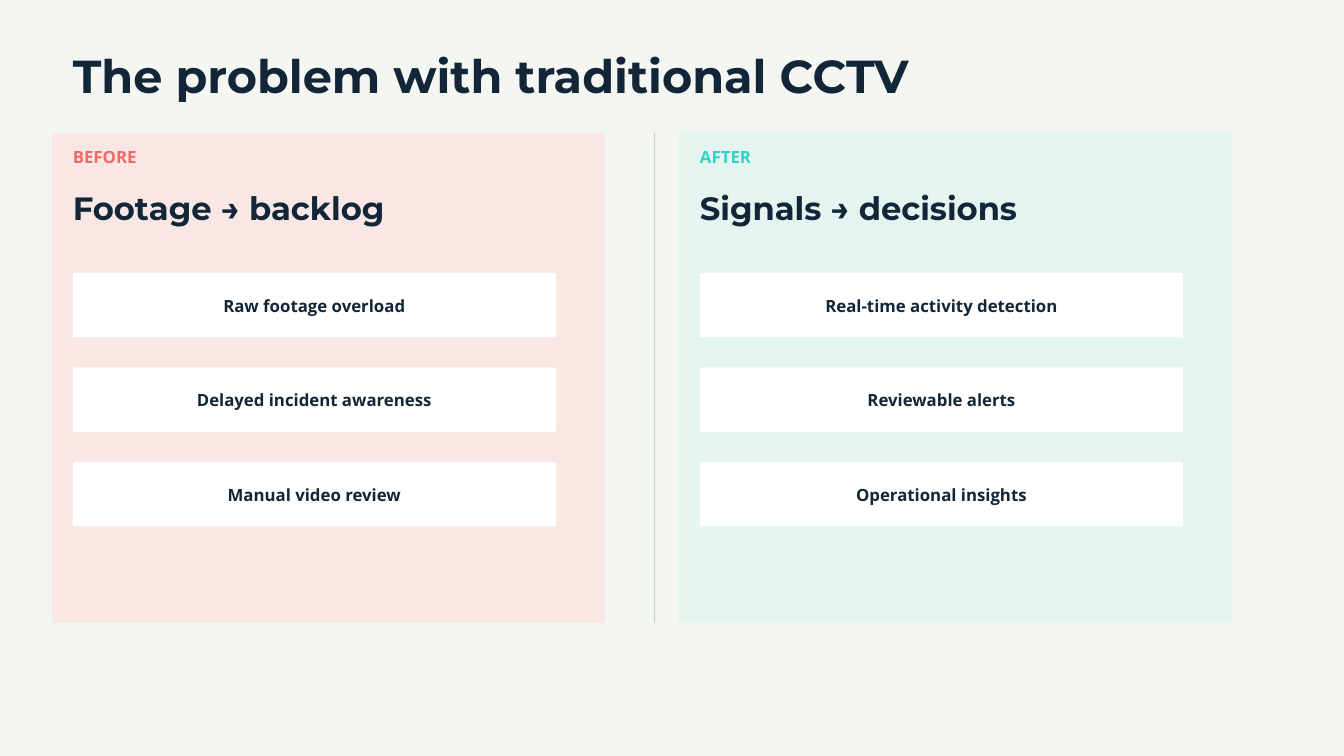
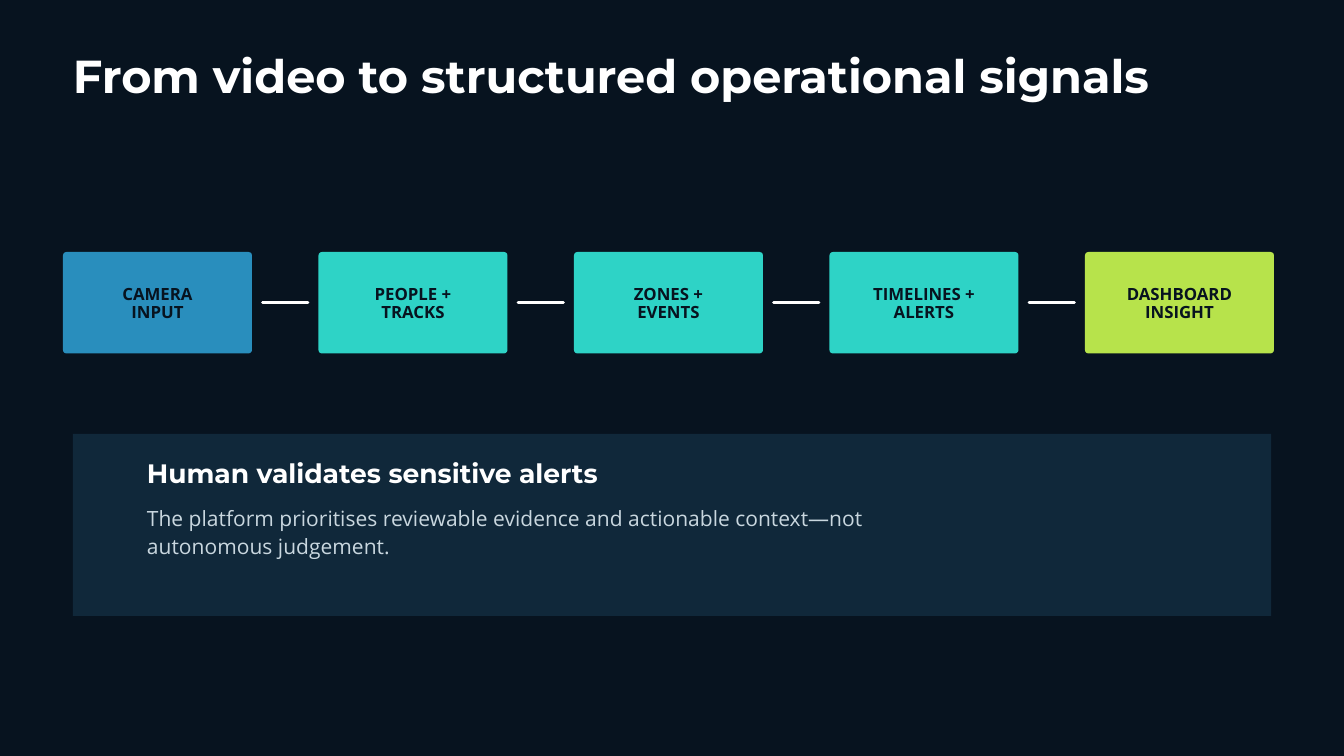
from pptx import Presentation
from pptx.dml.color import RGBColor
from pptx.enum.shapes import MSO_CONNECTOR, MSO_SHAPE
from pptx.enum.text import MSO_ANCHOR, PP_ALIGN
from pptx.oxml.ns import qn
from pptx.util import Pt

STRAIGHT = MSO_CONNECTOR.STRAIGHT
RECT, ROUND = MSO_SHAPE.RECTANGLE, MSO_SHAPE.ROUNDED_RECTANGLE
TOP, MIDDLE = MSO_ANCHOR.TOP, MSO_ANCHOR.MIDDLE
LEFT, CENTER = PP_ALIGN.LEFT, PP_ALIGN.CENTER

# Colours
PAPER = RGBColor(0xF4, 0xF6, 0xF2)
NIGHT = RGBColor(0x07, 0x13, 0x1F)
INK = RGBColor(0x13, 0x26, 0x38)
WHITE = RGBColor(0xFF, 0xFF, 0xFF)
RULE = RGBColor(0xCA, 0xD3, 0xCF)
BLUSH = RGBColor(0xF8, 0xE7, 0xE4)
MINT = RGBColor(0xE4, 0xF5, 0xF1)
CORAL = RGBColor(0xEF, 0x6A, 0x67)
TEAL = RGBColor(0x2E, 0xD3, 0xC6)
BLUE = RGBColor(0x29, 0x8E, 0xBD)
LIME = RGBColor(0xB7, 0xE3, 0x4B)
NAVY = RGBColor(0x10, 0x28, 0x3A)
MIST = RGBColor(0xC9, 0xD7, 0xDF)

# Text styles: font values and line pitch in points
HEAD, BODY = "Montserrat", "Open Sans"
TITLE = dict(name=HEAD, size=Pt(49.5), bold=True), 52
CLAIM = dict(name=HEAD, size=Pt(34.5), bold=True), 48.3
POINT = dict(name=HEAD, size=Pt(28.5), bold=True), 39.9
LABEL = dict(name=BODY, size=Pt(18), bold=True), 20.7
CARD = dict(name=BODY, size=Pt(18), bold=True), 19.8
PROSE = dict(name=BODY, size=Pt(22.5), bold=False), 30.4

MARGIN, WIDE = 104, 1712


def px(*sizes):
    """Turn px (96 to the inch) into EMU."""
    return [size * 9525 for size in sizes]


def put(item, values):
    for key, value in values.items():
        setattr(item, key, value)


def write(frame, text, style, color, align=LEFT, anchor=TOP, inset=(0, 0, 0, 0)):
    font, pitch = style
    sides = "margin_left", "margin_top", "margin_right", "margin_bottom"
    put(frame, dict(zip(sides, px(*inset)), word_wrap=True, vertical_anchor=anchor))
    frame.text = text
    for para in frame.paragraphs:
        put(para, dict(alignment=align, line_spacing=Pt(pitch)))
        put(para.font, font)
        para.font.color.rgb = color


def label(slide, box, text, style, color):
    write(slide.shapes.add_textbox(*px(*box)).text_frame, text, style, color)


def block(slide, box, fill, kind=RECT):
    shape = slide.shapes.add_shape(kind, *px(*box))
    shape.shadow.inherit = False
    shape.fill.solid()
    shape.fill.fore_color.rgb = fill
    shape.line.fill.background()
    return shape


def card(slide, box, fill, text, color, radius):
    shape = block(slide, box, fill, ROUND)
    shape.adjustments[0] = radius / box[3]
    write(shape.text_frame, text, CARD, color, CENTER, MIDDLE, (6, 9, 6, 6))


def dash(slide, left, right, y):
    line = slide.shapes.add_connector(STRAIGHT, *px(left, y, right, y))
    line.line.color.rgb = WHITE
    line.line.width = Pt(3)
    props = line._element.spPr
    props.find(qn("a:ln")).set("cap", "rnd")
    props.append(props.makeelement(qn("a:effectLst"), {}))


def start(deck, back, text, color):
    """Add a slide with its background and title."""
    slide = deck.slides.add_slide(deck.slide_layouts[6])
    slide.background.fill.solid()
    slide.background.fill.fore_color.rgb = back
    label(slide, (MARGIN, 78, WIDE, 71), text, TITLE, color)
    return slide


def panel(slide, left, fill, tag, tint, claim, items):
    block(slide, (left, 190, 790, 700), fill)
    inner = left + 30
    label(slide, (inner, 211, 700, 27), tag, LABEL, tint)
    label(slide, (inner, 260, 720, 60), claim, CLAIM, INK)
    for row, item in enumerate(items):
        card(slide, (inner, 390 + 135 * row, 690, 92), WHITE, item, INK, 2)


def compare(deck):
    slide = start(deck, PAPER, "The problem with traditional CCTV", INK)
    block(slide, (934, 190, 2, 700), RULE)
    panel(slide, 74, BLUSH, "BEFORE", CORAL, "Footage → backlog",
          ["Raw footage overload", "Delayed incident awareness", "Manual video review"])
    panel(slide, 970, MINT, "AFTER", TEAL, "Signals → decisions",
          ["Real-time activity detection", "Reviewable alerts", "Operational insights"])


def flow(deck):
    slide = start(deck, NIGHT, "From video to structured operational signals", WHITE)

    # Steps and the dashes between them
    steps = [("CAMERA\nINPUT", BLUE), ("PEOPLE +\nTRACKS", TEAL), ("ZONES +\nEVENTS", TEAL),
             ("TIMELINES +\nALERTS", TEAL), ("DASHBOARD\nINSIGHT", LIME)]
    first, width, pitch, gap = 90, 270, 365, 15
    for col, (text, fill) in enumerate(steps):
        left = first + pitch * col
        if col:
            dash(slide, left - pitch + width + gap, left - gap, 432)
        card(slide, (left, 360, width, 145), fill, text, NIGHT, 5)

    # Human check
    block(slide, (MARGIN, 620, WIDE, 260), NAVY)
    label(slide, (210, 645, 650, 51), "Human validates sensitive alerts", POINT, WHITE)
    label(slide, (210, 717, 1200, 79),
          "The platform prioritises reviewable evidence and actionable context—not "
          "autonomous judgement.", PROSE, MIST)


def main():
    deck = Presentation()
    deck.slide_width, deck.slide_height = px(1920, 1080)
    compare(deck)
    flow(deck)
    deck.save("out.pptx")


if __name__ == "__main__":
    main()
